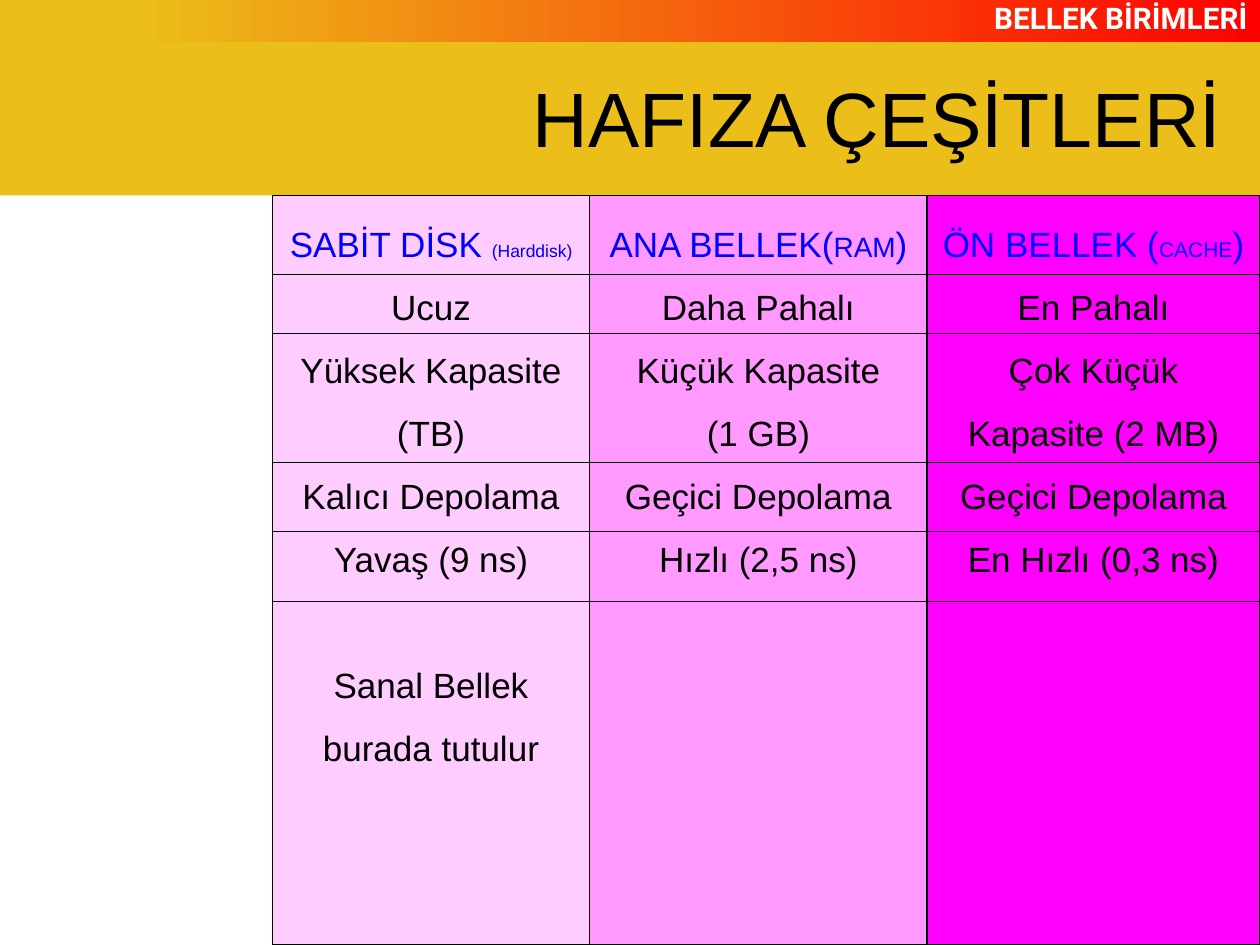
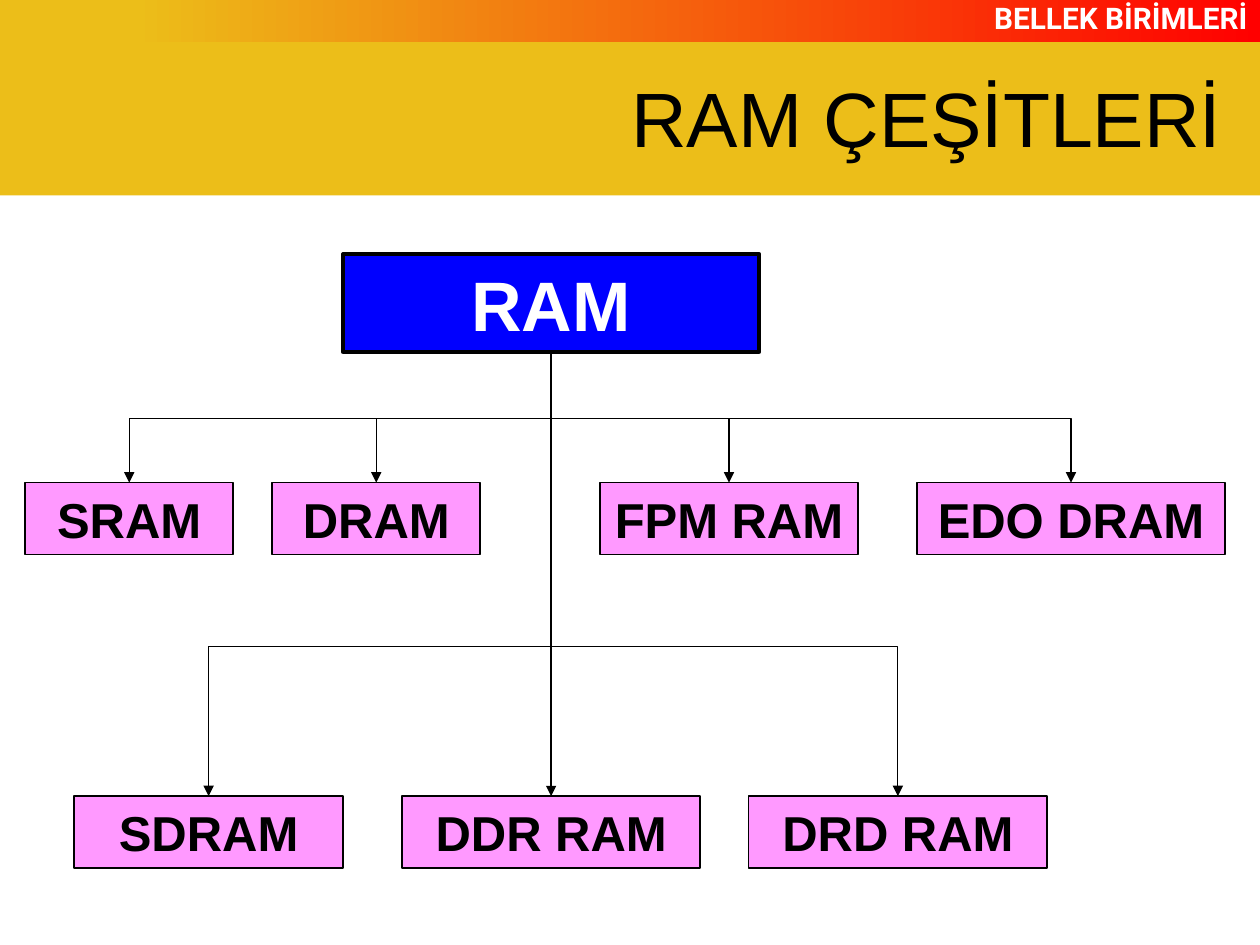
"""Builds two slides on memory types: a comparison and a RAM family tree."""
from lxml import etree
from pptx import Presentation
from pptx.dml.color import RGBColor
from pptx.enum.shapes import MSO_CONNECTOR, MSO_SHAPE
from pptx.enum.text import MSO_ANCHOR, PP_ALIGN
from pptx.oxml.ns import qn
from pptx.util import Cm, Pt

RECTANGLE = MSO_SHAPE.RECTANGLE
STRAIGHT, ELBOW = MSO_CONNECTOR.STRAIGHT, MSO_CONNECTOR.ELBOW
TOP, MIDDLE = MSO_ANCHOR.TOP, MSO_ANCHOR.MIDDLE
CENTER, RIGHT = PP_ALIGN.CENTER, PP_ALIGN.RIGHT
BOTTOM_SITE, TOP_SITE = 2, 0

BLACK, WHITE, BLUE, RED = "000000", "FFFFFF", "0000FF", "FF0000"
GOLD, PALE_PINK, PINK, MAGENTA = "ECBE19", "FFCCFF", "FF99FF", "FF00FF"
BODY_FONT, STRIP_FONT = "Arial", "Roboto"

SLIDE_WIDTH, SLIDE_HEIGHT, BAND_HEIGHT = 25.4, 19.05, 3.94

COLUMN_EDGES = [5.49, 11.89, 18.69, SLIDE_WIDTH]
ROW_LINES = [5.54, 6.73, 9.32, 10.72, 12.12]
MEMORY_COLUMNS = [
    (PALE_PINK, [("SABİT DİSK ", 20), ("(Harddisk)", 10)],
     ["Ucuz", "Yüksek Kapasite (TB)", "Kalıcı Depolama", "Yavaş (9 ns)"],
     "Sanal Bellek burada tutulur"),
    (PINK, [("ANA BELLEK(", 20), ("RAM", 16), (")", 20)],
     ["Daha Pahalı", "Küçük Kapasite", "(1 GB)", "Geçici Depolama",
      "Hızlı (2,5 ns)"], None),
    (MAGENTA, [("ÖN BELLEK (", 20), ("CACHE", 12), (")", 20)],
     ["En Pahalı", "Çok Küçük Kapasite (2 MB)", "Geçici Depolama",
      "En Hızlı (0,3 ns)"], None),
]

RAM_ROWS = [
    (9.73, 8.43, [("SRAM", 0.51, 4.19), ("DRAM", 5.49, 4.19),
                  ("FPM RAM", 12.09, 5.21), ("EDO DRAM", 18.49, 6.2)]),
    (16.05, 13.03, [("SDRAM", 1.5, 5.41), ("DDR RAM", 8.1, 6.02),
                    ("DRD RAM", 15.09, 6.02)]),
]


def color(value):
    """Turn a hex string into a colour."""
    return RGBColor.from_string(value)


def add_box(page, left, top, width, height, fill, line_width=None):
    """Add a filled rectangle, outlined in black when a line width is given."""
    box = page.shapes.add_shape(
        RECTANGLE, Cm(left), Cm(top), Cm(width), Cm(height))
    box.shadow.inherit = False
    box.fill.solid()
    box.fill.fore_color.rgb = color(fill)
    if line_width:
        box.line.color.rgb = color(BLACK)
        box.line.width = Pt(line_width)
    else:
        box.line.fill.background()
    return box


def style_paragraph(para, size, ink, align, bold=False, font=BODY_FONT):
    """Set the alignment and font of a paragraph."""
    para.alignment = align
    para.font.name = font
    para.font.size = Pt(size)
    para.font.bold = bold
    para.font.color.rgb = color(ink)


def write_line(box, text, size, ink, align, bold=False, font=BODY_FONT):
    """Write one vertically centred paragraph into a box."""
    frame = box.text_frame
    frame.word_wrap = True
    frame.vertical_anchor = MIDDLE
    para = frame.paragraphs[0]
    para.text = text
    style_paragraph(para, size, ink, align, bold, font)
    return para


def add_page(deck, title):
    """Add a slide with the gold band, the gradient strip and a title."""
    page = deck.slides.add_slide(deck.slide_layouts[6])
    add_box(page, 0, 0, SLIDE_WIDTH, BAND_HEIGHT, GOLD)
    strip = add_box(page, 2.69, 0, 22.71, 0.84, GOLD)
    strip.fill.gradient()
    strip.fill.gradient_angle = 0
    for stop, shade in zip(strip.fill.gradient_stops, (GOLD, RED)):
        stop.color.rgb = color(shade)
    para = write_line(strip, "BELLEK BİRİMLERİ", 17, WHITE, RIGHT, True, STRIP_FONT)
    para.line_spacing = 0.81
    heading = page.shapes.add_textbox(Cm(2.03), Cm(0.76), Cm(22.86), Cm(3.18))
    write_line(heading, title, 44, BLACK, RIGHT)
    return page


def add_line(page, kind, start_x, start_y, end_x, end_y, arrow=False):
    """Add a thin black connector, with an arrowhead at its end if wanted."""
    line = page.shapes.add_connector(
        kind, Cm(start_x), Cm(start_y), Cm(end_x), Cm(end_y))
    line.line.color.rgb = color(BLACK)
    line.line.width = Pt(0.75)
    properties = line._element.spPr
    if arrow:
        etree.SubElement(properties.find(qn("a:ln")), qn("a:tailEnd"), type="triangle")
    etree.SubElement(properties, qn("a:effectLst"))
    return line


def add_elbow(page, start_x, start_y, end_x, end_y, bend_y):
    """Add an arrow that runs down, across at bend_y, and down again."""
    drop, half_drop = end_y - start_y, (end_y - start_y) / 2
    half_span = abs(end_x - start_x) / 2
    center_x, center_y = (start_x + end_x) / 2, (start_y + end_y) / 2
    side = 1 if end_x < start_x else -1
    elbow = add_line(page, ELBOW,
                     center_x - side * half_drop, center_y - half_span,
                     center_x + side * half_drop, center_y + half_span, True)
    properties = elbow._element.spPr
    turn = 90 if side == 1 else 270
    properties.find(qn("a:xfrm")).set("rot", str(turn * 60000))
    guides = properties.find(qn("a:prstGeom")).find(qn("a:avLst"))
    bend = round((bend_y - start_y) / drop * 100000)
    etree.SubElement(guides, qn("a:gd"), name="adj1", fmla=f"val {bend}")


def add_memory_column(page, left, right, fill, heading, rows, note):
    """Add a column with a blue heading, its rows and an optional note."""
    box = add_box(page, left, BAND_HEIGHT, right - left,
                  SLIDE_HEIGHT - BAND_HEIGHT, fill, 0.75)
    frame = box.text_frame
    frame.word_wrap = True
    frame.vertical_anchor = TOP
    para = frame.paragraphs[0]
    style_paragraph(para, 20, BLUE, CENTER)
    para.line_spacing = 1.5
    for text, size in heading:
        span = para.add_run()
        span.text = text
        span.font.size = Pt(size)
    for text in rows + ([note] if note else []):
        para = frame.add_paragraph()
        para.text = text
        style_paragraph(para, 20, BLACK, CENTER)
        para.line_spacing = 1.5
    if note:
        para.space_before = Pt(36)


def add_memory_types(deck):
    """Add the slide that compares disk, main memory and cache."""
    page = add_page(deck, "HAFIZA ÇEŞİTLERİ")
    for left, right, column in zip(COLUMN_EDGES, COLUMN_EDGES[1:], MEMORY_COLUMNS):
        add_memory_column(page, left, right, *column)
    for height in ROW_LINES:
        add_line(page, STRAIGHT, COLUMN_EDGES[0], height, SLIDE_WIDTH, height)


def add_ram_types(deck):
    """Add the slide with the RAM family tree."""
    page = add_page(deck, "RAM ÇEŞİTLERİ")
    left, top, width, height = 6.91, 5.13, 8.4, 1.96
    root = add_box(page, left, top, width, height, BLUE, 2.25)
    write_line(root, "RAM", 40, WHITE, CENTER, True)
    root_x, root_y = left + width / 2, top + height
    for row_top, bend_y, members in RAM_ROWS:
        for name, left, width in members:
            box = add_box(page, left, row_top, width, 1.45, PINK, 1)
            write_line(box, name, 28, BLACK, CENTER, True)
            box_x = left + width / 2
            if abs(box_x - root_x) < 0.01:
                line = add_line(page, STRAIGHT, root_x, root_y, box_x, row_top, True)
                line.begin_connect(root, BOTTOM_SITE)
                line.end_connect(box, TOP_SITE)
            else:
                add_elbow(page, root_x, root_y, box_x, row_top, bend_y)


def main():
    """Build and save the deck."""
    deck = Presentation()
    deck.slide_width, deck.slide_height = Cm(SLIDE_WIDTH), Cm(SLIDE_HEIGHT)
    add_memory_types(deck)
    add_ram_types(deck)
    deck.save("out.pptx")


if __name__ == "__main__":
    main()
